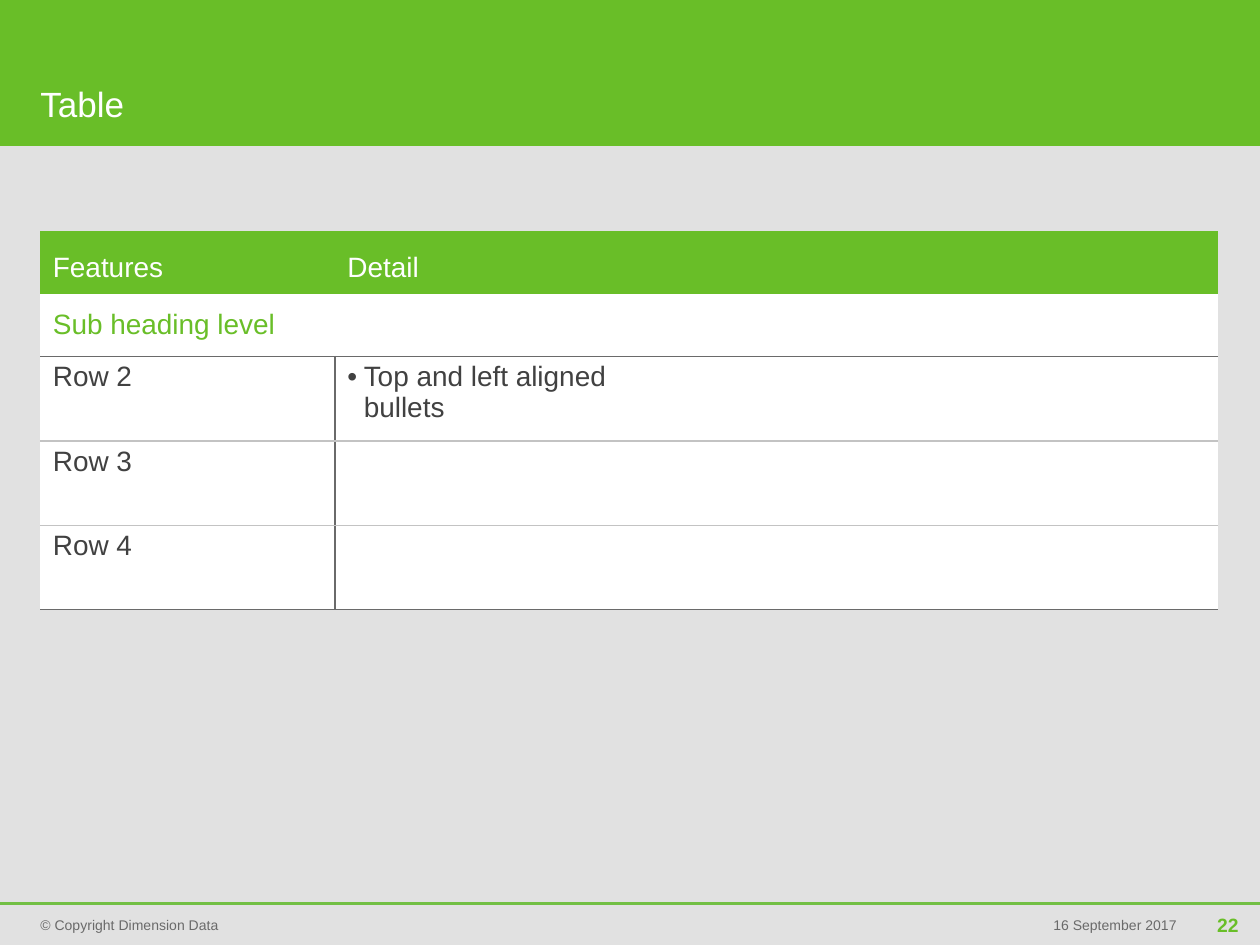
from lxml.etree import SubElement as Sub
from pptx import Presentation
from pptx.dml.color import RGBColor as RGB
from pptx.enum.shapes import MSO_CONNECTOR as Conn, MSO_SHAPE as Shape
from pptx.enum.text import MSO_ANCHOR as Anchor, PP_ALIGN as Align
from pptx.oxml.ns import qn
from pptx.util import Inches, Pt

HUES = {
    "green": "69BE28", "rule": "72BF44", "pale": "E1E1E1", "white": "FFFFFF",
    "gray": "6A6A6A", "mid": "C3C3C3", "dark": "414141",
}


def hue(name):
    return RGB.from_string(HUES[name])


def style(para, size, color, bold=False):
    font = para.font
    font.name, font.size, font.bold = "Arial", Pt(size), bold
    font.color.rgb = hue(color)


def panel(slide, box, color):
    rect = slide.shapes.add_shape(Shape.RECTANGLE, *map(Inches, box))
    rect.shadow.inherit = False
    rect.fill.solid()
    rect.fill.fore_color.rgb = hue(color)
    rect.line.fill.background()


def label(slide, box, text, size, color, align=Align.LEFT,
          anchor=Anchor.MIDDLE, space=1.1, bold=False, wrap=True):
    frame = slide.shapes.add_textbox(*map(Inches, box)).text_frame
    frame.word_wrap = wrap
    frame.vertical_anchor = anchor
    frame.margin_left = frame.margin_right = 0
    frame.margin_top = frame.margin_bottom = 0
    para = frame.paragraphs[0]
    para.text, para.alignment, para.line_spacing = text, align, space
    style(para, size, color, bold)


def header(slide, box):
    left, top, width, height = box
    panel(slide, box, "green")
    label(slide, (left + 0.32, top + 0.08, 7.01, height - 0.25), "Table",
          20, "white", anchor=Anchor.BOTTOM, space=1.2)


def footer(slide, box):
    left, top, width, height = box
    label(slide, (left + 0.32, top, 4.68, height),
          "© Copyright Dimension Data", 8, "gray")
    label(slide, (left + 9.42, top, 0.41, height), "22", 11, "green",
          Align.RIGHT, bold=True, wrap=False)
    line = slide.shapes.add_connector(
        Conn.STRAIGHT, *map(Inches, (left, top, left + width, top)))
    line.line.color.rgb = hue("rule")
    line.line.width = Pt(1.5)
    Sub(line._element.spPr, qn("a:effectLst"))
    label(slide, (left + 7.5, top, 1.84, height), "16 September 2017",
          8, "gray", Align.RIGHT)


def border(cell, **sides):
    props = cell._tc.get_or_add_tcPr()
    for side in "LRTB":
        line = Sub(props, qn(f"a:ln{side}"), w=str(Pt(1)))
        if side in sides:
            fill = Sub(line, qn("a:solidFill"))
            Sub(fill, qn("a:srgbClr"), val=HUES[sides[side]])
        else:
            Sub(line, qn("a:noFill"))


def paint(cell, text, color, back, anchor, pads, bullet=False):
    cell.fill.solid()
    cell.fill.fore_color.rgb = hue(back)
    cell.vertical_anchor = anchor
    (cell.margin_left, cell.margin_top,
     cell.margin_right, cell.margin_bottom) = map(Inches, pads)
    para = cell.text_frame.paragraphs[0]
    para.text = text
    props = para._p.get_or_add_pPr()
    left, indent = (0.19, -0.13) if bullet else (0.1, 0)
    props.set("marL", str(Inches(left)))
    props.set("indent", str(Inches(indent)))
    if bullet:
        Sub(props, qn("a:buFont"), typeface="Arial")
        Sub(props, qn("a:buChar"), char="•")
    style(para, 16, color)


def features(slide, box):
    highs = [0.5, 0.5, 0.67, 0.67, 0.67]
    table = slide.shapes.add_table(len(highs), 4, *map(Inches, box)).table
    table.first_row = table.horz_banding = False
    for col in table.columns:
        col.width = Inches(box[2] / 4)
    for row, high in zip(table.rows, highs):
        row.height = Inches(high)
    table.cell(0, 1).merge(table.cell(0, 3))
    table.cell(1, 0).merge(table.cell(1, 3))

    texts = [["Features", "Detail"], ["Sub heading level"],
             ["Row 2", "Top and left aligned bullets"], ["Row 3"], ["Row 4"]]
    looks = [("white", "green", Anchor.BOTTOM),
             ("green", "white", Anchor.MIDDLE)]
    looks += [("dark", "white", Anchor.TOP)] * 3
    rules = [None, "gray", "mid", "mid", "gray"]
    for r, (words, look) in enumerate(zip(texts, looks)):
        for c in range(4):
            cell = table.cell(r, c)
            sides = {"B": rules[r]} if r else {}
            if r > 1:
                sides["T"] = rules[r - 1]
                if c < 2:
                    sides["RL"[c]] = "gray"
            border(cell, **sides)
            pads = (0, 0.04, 0, 0.04)
            if r == 0:
                pads = (0, 0.04, 0.2 if c else 0, 0.08)
            elif r > 1 and c:
                pads = (0.04,) * 4
            text = words[c] if c < len(words) else ""
            paint(cell, text, *look, pads, r > 1 and c > 0 and text != "")


def main():
    deck = Presentation()
    deck.slide_width, deck.slide_height = Inches(10), Inches(7.5)
    slide = deck.slides.add_slide(deck.slide_layouts[6])
    header(slide, (0, 0, 10, 1.16))
    panel(slide, (0, 1.16, 10, 6.34), "pale")
    footer(slide, (0, 7.17, 10, 0.33))
    features(slide, (0.32, 1.83, 9.35, 3.01))
    deck.save("out.pptx")


if __name__ == "__main__":
    main()
